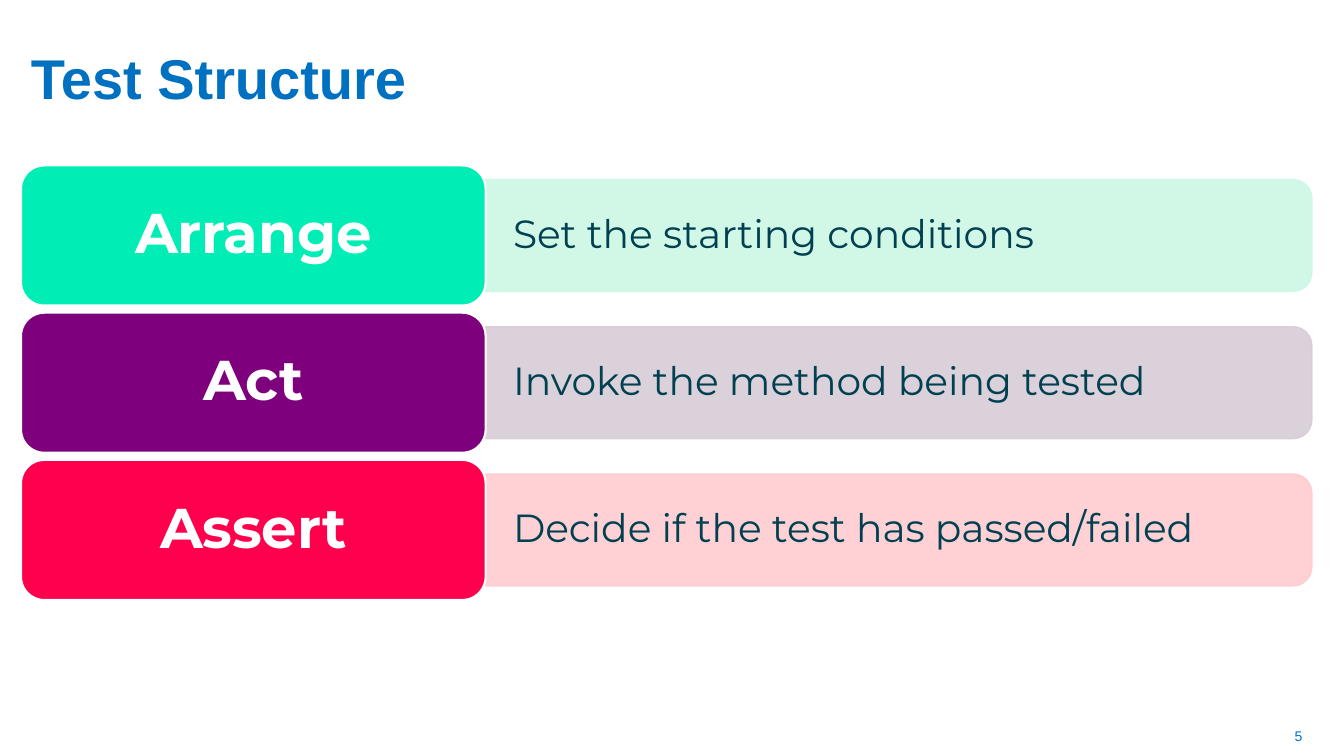
from lxml import etree
from pptx import Presentation
from pptx.dml.color import RGBColor
from pptx.enum.shapes import MSO_SHAPE
from pptx.enum.text import MSO_ANCHOR, MSO_AUTO_SIZE, PP_ALIGN
from pptx.oxml.ns import qn
from pptx.util import Cm, Pt

ROUNDED = MSO_SHAPE.ROUNDED_RECTANGLE
TWO_ROUNDED = MSO_SHAPE.ROUND_2_SAME_RECTANGLE
LEFT, CENTER, RIGHT = PP_ALIGN.LEFT, PP_ALIGN.CENTER, PP_ALIGN.RIGHT
TOP, MIDDLE = MSO_ANCHOR.TOP, MSO_ANCHOR.MIDDLE
NO_AUTOSIZE = MSO_AUTO_SIZE.NONE

BLUE, TEAL, WHITE = "0070C0", "004050", "FFFFFF"
STEPS = [
    ("Arrange", "Set the starting conditions", "00EDB5", "CCF8E5"),
    ("Act", "Invoke the method being tested", "7F007D", "D8CCD7"),
    ("Assert", "Decide if the test has passed/failed", "FF004C", "FFCCD0"),
]

# Row geometry in centimetres
ROW_TOP, ROW_PITCH = 4.17, 3.71
LABEL_LEFT, LABEL_WIDTH, LABEL_HEIGHT = 0.53, 11.71, 3.53
BAR_LEFT, BAR_WIDTH, BAR_HEIGHT = LABEL_LEFT + LABEL_WIDTH, 20.82, 2.82


def color(value):
    return RGBColor.from_string(value)


class SlideBuilder:
    heading_font, body_font = "Arial", "Montserrat"

    def __init__(self, presentation):
        self.slide = presentation.slides.add_slide(presentation.slide_layouts[5])

    def set_text(self, shape, text, size, hue, font, align=LEFT, anchor=MIDDLE,
                 bold=False, spacing=1.0, margins=(0.25, 0.13, 0.25, 0.13)):
        frame = shape.text_frame
        frame.text = text
        left, top, right, bottom = map(Cm, margins)
        frame_format = {
            "word_wrap": True, "auto_size": NO_AUTOSIZE, "vertical_anchor": anchor,
            "margin_left": left, "margin_top": top,
            "margin_right": right, "margin_bottom": bottom,
        }
        paragraph = frame.paragraphs[0]
        paragraph_format = {"alignment": align, "line_spacing": spacing}
        font_format = {"name": font, "size": Pt(size), "bold": bold}
        run_font = paragraph.runs[0].font
        for target, values in ((frame, frame_format), (paragraph, paragraph_format),
                               (run_font, font_format)):
            for name, value in values.items():
                setattr(target, name, value)
        run_font.color.rgb = color(hue)

    def title(self, text, box):
        shape = self.slide.shapes.title
        for name, value in zip(("left", "top", "width", "height"), box):
            setattr(shape, name, Cm(value))
        self.set_text(shape, text, 40, BLUE, self.heading_font, anchor=TOP, bold=True,
                      margins=(0.25, 0.3, 0.25, 0))

    def text(self, text, box, size, hue, font, **style):
        shape = self.slide.shapes.add_textbox(*map(Cm, box))
        self.set_text(shape, text, size, hue, font, **style)

    def block(self, kind, box, fill, line, line_width):
        shape = self.slide.shapes.add_shape(kind, *map(Cm, box))
        shape.shadow.inherit = False
        shape.fill.solid()
        shape.fill.fore_color.rgb = color(fill)
        shape.line.color.rgb = color(line)
        shape.line.width = Pt(line_width)
        return shape

    def bar(self, text, middle, fill):
        # The upright shape is turned so that its rounded end faces right
        center = BAR_LEFT + BAR_WIDTH / 2
        box = (center - BAR_HEIGHT / 2, middle - BAR_WIDTH / 2, BAR_HEIGHT, BAR_WIDTH)
        shape = self.block(TWO_ROUNDED, box, fill, fill, 1)
        shape.rotation = 90
        for element in shape.element.iter(qn("a:srgbClr")):
            etree.SubElement(element, qn("a:alpha"), val="90000")
        text_box = (BAR_LEFT, middle - BAR_HEIGHT / 2, BAR_WIDTH, BAR_HEIGHT)
        self.text(text, text_box, 28, TEAL, self.body_font, spacing=0.9,
                  margins=(0.69, 0.36, 0.69, 0.36))

    def label(self, text, top, fill):
        box = (LABEL_LEFT, top, LABEL_WIDTH, LABEL_HEIGHT)
        shape = self.block(ROUNDED, box, fill, WHITE, 1.5)
        self.set_text(shape, text, 40, WHITE, self.body_font, align=CENTER,
                      bold=True, spacing=0.9)


def main():
    presentation = Presentation()
    presentation.slide_width, presentation.slide_height = Cm(33.87), Cm(19.05)
    builder = SlideBuilder(presentation)

    # Title and slide number
    builder.title("Test Structure", (0.53, 0.79, 32.54, 1.4))
    builder.text("5", (25.17, 18.03, 7.9, 1.02), 10, BLUE, builder.heading_font,
                 align=RIGHT)

    # One row per test step
    for index, (name, description, strong, pale) in enumerate(STEPS):
        top = ROW_TOP + index * ROW_PITCH
        builder.bar(description, top + LABEL_HEIGHT / 2, pale)
        builder.label(name, top, strong)

    presentation.save("out.pptx")


if __name__ == "__main__":
    main()
